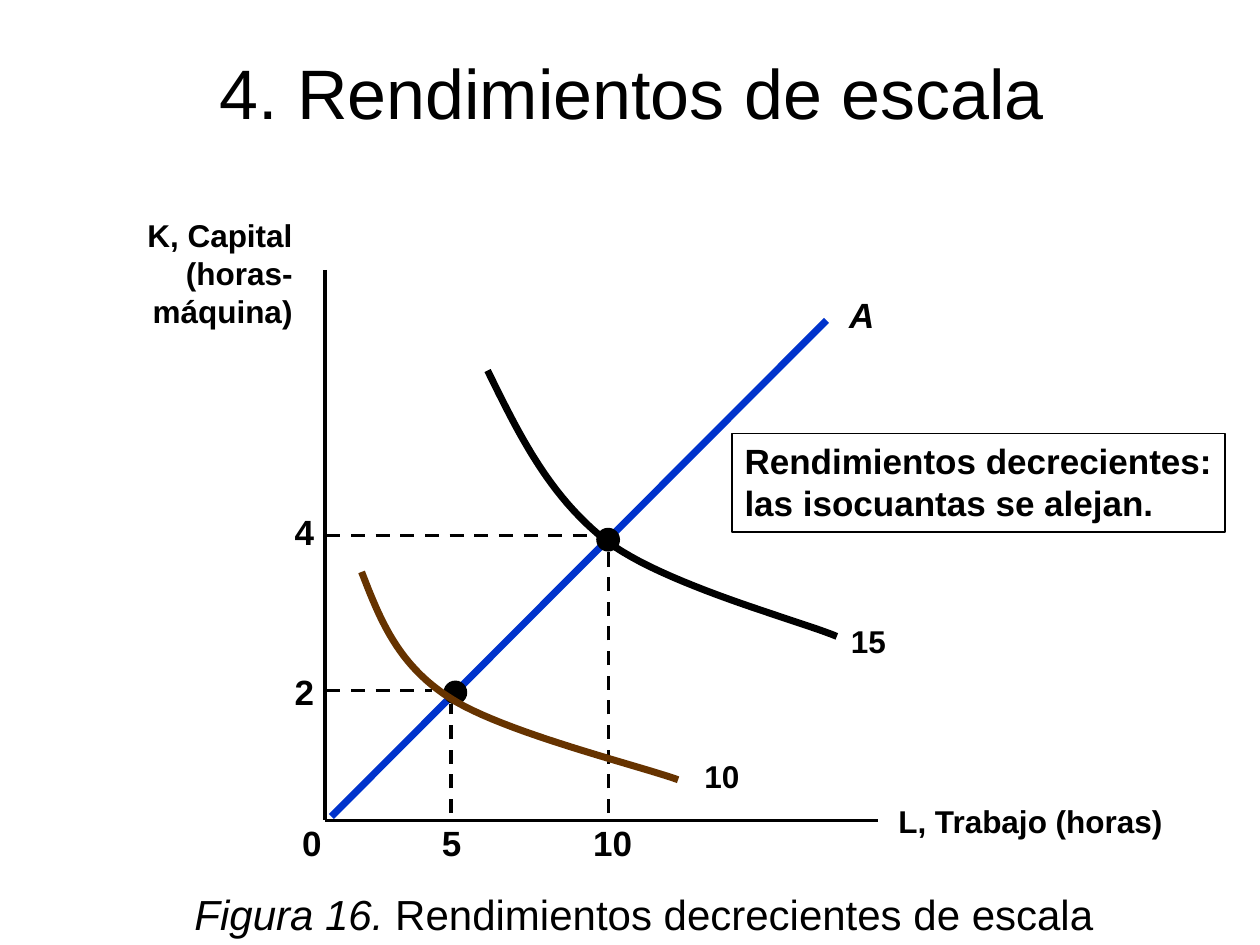
from pptx import Presentation
from pptx.dml.color import RGBColor
from pptx.enum.dml import MSO_LINE
from pptx.enum.shapes import MSO_CONNECTOR, MSO_SHAPE
from pptx.enum.text import MSO_ANCHOR as Anchor, PP_ALIGN as Align
from pptx.oxml.ns import qn
from pptx.util import Cm, Pt
from lxml.etree import SubElement

BLACK = RGBColor(0x00, 0x00, 0x00)
BLUE = RGBColor(0x00, 0x33, 0xCC)
BROWN = RGBColor(0x66, 0x33, 0x00)

BOLD_20 = {"size": Pt(20), "bold": True}
BOLD_18 = {"size": Pt(18), "bold": True}
CURVE_STEPS = 24


def write(shape, paragraphs, font, align=Align.LEFT, anchor=Anchor.TOP, wrap=False):
    """Fill a shape with paragraphs, each a list of (text, italic) runs."""
    frame = shape.text_frame
    frame.word_wrap = wrap
    frame.vertical_anchor = anchor
    for index, runs in enumerate(paragraphs):
        paragraph = frame.paragraphs[0] if index == 0 else frame.add_paragraph()
        paragraph.alignment = align
        for text, italic in runs:
            run = paragraph.add_run()
            run.text = text
            run.font.color.rgb = BLACK
            for name, value in {"name": "Arial", "italic": italic, **font}.items():
                setattr(run.font, name, value)


def add_label(slide, box, lines, font, italic=False, **layout):
    label = slide.shapes.add_textbox(*map(Cm, box))
    write(label, [[(line, italic)] for line in lines], font, **layout)


def add_line(slide, start, end, color=BLACK, width=2, dashed=False):
    line = slide.shapes.add_connector(MSO_CONNECTOR.STRAIGHT, *map(Cm, (*start, *end)))
    line.line.color.rgb = color
    line.line.width = Pt(width)
    if dashed:
        line.line.dash_style = MSO_LINE.DASH
    SubElement(line._element.spPr, qn("a:effectLst"))


def bezier(p0, p1, p2, p3):
    """Points along a cubic curve, without its first point."""
    for step in range(1, CURVE_STEPS + 1):
        t = step / CURVE_STEPS
        weights = ((1 - t) ** 3, 3 * t * (1 - t) ** 2, 3 * t * t * (1 - t), t ** 3)
        yield tuple(sum(w * p[axis] for w, p in zip(weights, (p0, p1, p2, p3)))
                    for axis in (0, 1))


def add_isoquant(slide, controls, color):
    points = [(Cm(x), Cm(y))
              for i in range(0, len(controls) - 1, 3)
              for x, y in bezier(*controls[i:i + 4])]
    builder = slide.shapes.build_freeform(*map(Cm, controls[0]))
    builder.add_line_segments(points, close=False)
    curve = builder.convert_to_shape()
    curve.shadow.inherit = False
    curve.fill.background()
    curve.line.color.rgb = color
    curve.line.width = Pt(4)


def add_point(slide, center, diameter=0.48):
    x, y = center
    dot = slide.shapes.add_shape(MSO_SHAPE.OVAL, Cm(x - diameter / 2),
                                 Cm(y - diameter / 2), Cm(diameter), Cm(diameter))
    dot.shadow.inherit = False
    dot.fill.solid()
    dot.fill.fore_color.rgb = BLACK
    dot.line.fill.background()


def add_heading(slide, box):
    add_label(slide, box, ["4. Rendimientos de escala"], {"size": Pt(40)},
              align=Align.CENTER, anchor=Anchor.BOTTOM, wrap=True)


def add_caption(slide, box):
    caption = slide.shapes.add_textbox(*map(Cm, box))
    runs = [("Figura 16. ", True), ("Rendimientos decrecientes de escala", False)]
    write(caption, [runs], {"size": Pt(24)}, Align.CENTER, Anchor.BOTTOM, wrap=True)


def add_note(slide, box):
    note = slide.shapes.add_shape(MSO_SHAPE.RECTANGLE, *map(Cm, box))
    note.shadow.inherit = False
    note.fill.background()
    note.line.color.rgb = BLACK
    note.line.width = Pt(1)
    lines = ("Rendimientos decrecientes:", "las isocuantas se alejan.")
    write(note, [[(line, False)] for line in lines], BOLD_20)


def add_diagram(slide, box):
    left, top, width, height = box

    def at(right, up):
        """Slide position of a point measured from the origin of the axes."""
        return left + right, top + height - up

    # Axes and their titles
    add_line(slide, at(0, height), at(0, 0))
    add_line(slide, at(0, 0), at(width, 0))
    add_label(slide, (*at(11.31, 0.49), 5.87, 1.02), ["L, Trabajo (horas)"], BOLD_18)
    add_label(slide, (*at(-3.83, 12.3), 3.43, 2.54),
              ["K, Capital", "(horas-", "máquina)"], BOLD_18, align=Align.RIGHT)

    # Dashed guides: height, end, then position, end
    for up, end in ((5.74, 5.33), (2.62, 2.16)):
        add_line(slide, at(0.03, up), at(end, up), dashed=True)
    for right, end in ((2.54, 2.34), (5.72, 5.61)):
        add_line(slide, at(right, 0.15), at(right, end), dashed=True)

    # Axis values
    for text, right, up, label_width in (
            ("0", -0.71, 0.11, 0.89), ("5", 2.11, 0.11, 0.89), ("10", 5.16, 0.11, 1.3),
            ("2", -0.86, 3.15, 0.89), ("4", -0.86, 6.38, 0.89)):
        add_label(slide, (*at(right, up), label_width, 1.09), [text], BOLD_20)

    # Expansion ray A and its two points
    add_line(slide, at(0.13, 0.08), at(10.11, 10.08), BLUE, 4)
    add_label(slide, (*at(10.32, 10.75), 1.02, 1.09), ["A"], BOLD_20, italic=True)
    for point in ((5.71, 5.66), (2.63, 2.58)):
        add_point(slide, at(*point))

    # Isoquants with their output levels
    isoquants = (
        ("15", (10.14, 4.12), BLACK,
         ((3.28, 9.07), (3.89, 7.83), (4.5, 6.56), (5.67, 5.64),
          (6.84, 4.75), (9.53, 4.04), (10.32, 3.71))),
        ("10", (7.19, 1.4), BROWN,
         ((0.74, 5.01), (1.1, 4.09), (1.45, 3.15), (2.52, 2.47),
          (3.58, 1.78), (6.35, 1.1), (7.12, 0.82))),
    )
    for output, corner, color, controls in isoquants:
        add_isoquant(slide, [at(*point) for point in controls], color)
        add_label(slide, (*at(*corner), 1.63, 1.02), [output], BOLD_18,
                  align=Align.CENTER, anchor=Anchor.MIDDLE, wrap=True)


def main():
    deck = Presentation()
    deck.slide_width, deck.slide_height = Cm(25.4), Cm(19.05)
    slide = deck.slides.add_slide(deck.slide_layouts[6])
    add_diagram(slide, (6.55, 5.44, 11.15, 11.1))
    add_note(slide, (14.76, 8.74, 9.93, 1.98))
    add_heading(slide, (1.3, 0, 22.86, 2.82))
    add_caption(slide, (1.55, 15.88, 22.86, 3.17))
    deck.save("out.pptx")


if __name__ == "__main__":
    main()
